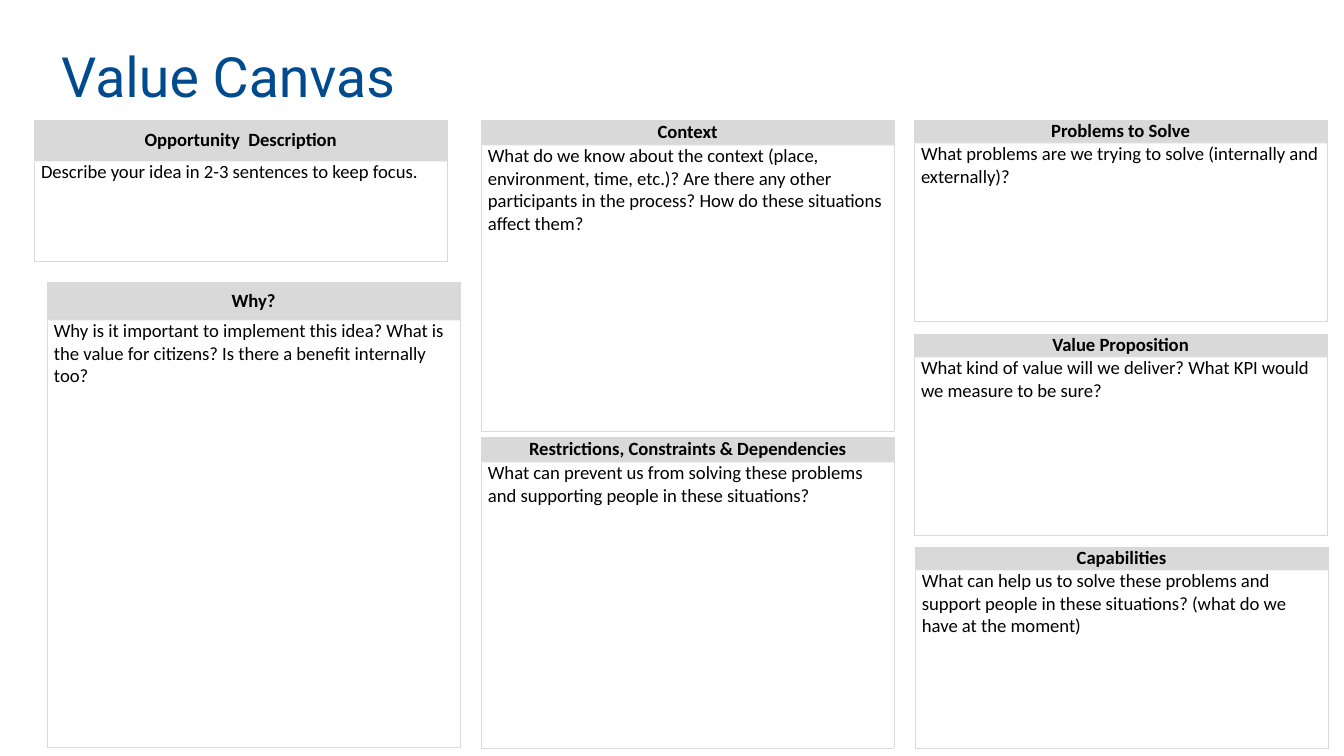
from dataclasses import dataclass

from lxml import etree
from pptx import Presentation
from pptx import util as u
from pptx.dml.color import RGBColor
from pptx.enum import text
from pptx.oxml.ns import qn

PX_PER_INCH = 134.4


@dataclass(frozen=True)
class Theme:
    title_color: str = "004B8D"
    text_color: str = "000000"
    header_fill: str = "D9D9D9"
    body_fill: str = "FFFFFF"
    edge: str = "D9D9D9"
    divider: str = "F2F2F2"
    title_font: str = "Roboto"
    body_font: str = "Calibri"
    title_size: float = 29.7
    body_size: float = 10
    border_width: float = 0.5


THEME = Theme()
CARD_WIDTH = 413

# left, top, header height, body height, body opacity in percent, heading, prompt
CARDS = [
    (34, 120, 41, 101, 0, "Opportunity  Description",
     "Describe your idea in 2-3 sentences to keep focus."),
    (47, 282, 38, 428, 80, "Why?",
     "Why is it important to implement this idea? What is the value for citizens? "
     "Is there a benefit internally too?"),
    (481, 120, 25, 286, 80, "Context",
     "What do we know about the context (place, environment, time, etc.)? "
     "Are there any other participants in the process? "
     "How do these situations affect them?"),
    (481, 437, 25, 286, 80, "Restrictions, Constraints & Dependencies",
     "What can prevent us from solving these problems and supporting people "
     "in these situations?"),
    (914, 120, 23, 179, 80, "Problems to Solve",
     "What problems are we trying to solve (internally and externally)?"),
    (914, 334, 23, 179, 80, "Value Proposition",
     "What kind of value will we deliver? What KPI would we measure to be sure?"),
    (915, 547, 23, 179, 80, "Capabilities",
     "What can help us to solve these problems and support people in these "
     "situations? (what do we have at the moment)"),
]


def px(n):
    return u.Emu(round(n * 914400 / PX_PER_INCH))


def style_font(font, name, size, color, bold=False):
    font.name = name
    font.size = u.Pt(size)
    font.bold = bold
    font.color.rgb = RGBColor.from_string(color)


def add_title(s, title):
    sp = s.shapes.add_textbox(px(48), px(40), px(1243), px(79))
    tf = sp.text_frame
    tf.word_wrap = True
    tf.vertical_anchor = text.MSO_ANCHOR.MIDDLE
    tf.text = title
    p = tf.paragraphs[0]
    p.line_spacing = 0.9
    style_font(p.runs[0].font, THEME.title_font, THEME.title_size, THEME.title_color)


def set_borders(cell, top, bottom):
    tc_pr = cell._tc.get_or_add_tcPr()
    sides = {"L": THEME.edge, "R": THEME.edge, "T": top, "B": bottom}
    for side, color in sides.items():
        ln = etree.SubElement(tc_pr, qn(f"a:ln{side}"), w=str(u.Pt(THEME.border_width)))
        fill = etree.SubElement(ln, qn("a:solidFill"))
        etree.SubElement(fill, qn("a:srgbClr"), val=color)


def set_fill(cell, color, opacity):
    if not opacity:
        cell.fill.background()
        return
    cell.fill.solid()
    cell.fill.fore_color.rgb = RGBColor.from_string(color)
    if opacity < 100:
        clr = cell._tc.tcPr.find(f"{qn('a:solidFill')}/{qn('a:srgbClr')}")
        etree.SubElement(clr, qn("a:alpha"), val=str(opacity * 1000))


def write_cell(cell, content, anchor, align, bold):
    cell.margin_left = cell.margin_right = px(7)
    cell.margin_top = cell.margin_bottom = 0
    cell.vertical_anchor = anchor
    cell.text = content
    p = cell.text_frame.paragraphs[0]
    p.alignment = align
    style_font(p.runs[0].font, THEME.body_font, THEME.body_size, THEME.text_color, bold)


def add_card(s, left, top, header_height, body_height, opacity, heading, prompt):
    """Add a two-row table: a shaded heading above a prompt with writing space."""
    frame = s.shapes.add_table(2, 1, px(left), px(top), px(CARD_WIDTH),
                               px(header_height + body_height))
    table = frame.table
    table.first_row = table.horz_banding = False
    table.rows[0].height = px(header_height)
    table.rows[1].height = px(body_height)

    header, body = table.cell(0, 0), table.cell(1, 0)
    write_cell(header, heading, text.MSO_ANCHOR.MIDDLE, text.PP_ALIGN.CENTER, True)
    set_borders(header, THEME.edge, THEME.divider)
    set_fill(header, THEME.header_fill, 100)
    write_cell(body, prompt, text.MSO_ANCHOR.TOP, text.PP_ALIGN.LEFT, False)
    set_borders(body, THEME.divider, THEME.edge)
    set_fill(body, THEME.body_fill, opacity)


def main():
    prs = Presentation()
    prs.slide_width, prs.slide_height = px(1344), px(756)
    s = prs.slides.add_slide(prs.slide_layouts[6])
    add_title(s, "Value Canvas")
    for card in CARDS:
        add_card(s, *card)
    prs.save("out.pptx")


if __name__ == "__main__":
    main()
